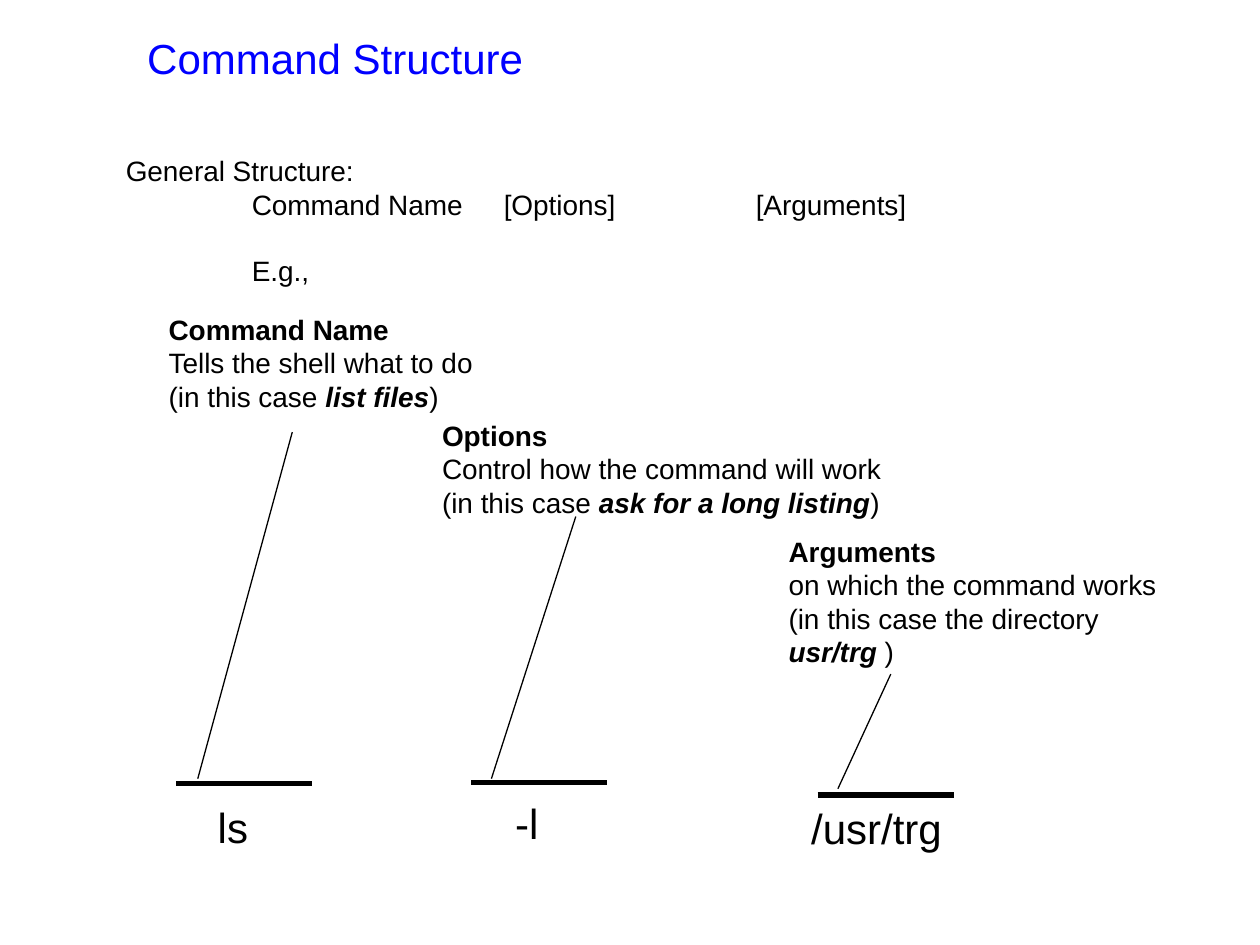
import pptx
import pptx.util
import pptx.dml.color
import pptx.enum.shapes
import pptx.enum.text
import pptx.oxml.ns
import lxml.etree

Inches, Pt = pptx.util.Inches, pptx.util.Pt
qn = pptx.oxml.ns.qn
COLORS = {"title": "0000FF", "text": "000000", "line": "000000"}
BOLD = {"bold": True}
STRESSED = {"bold": True, "italic": True}

deck = pptx.Presentation()
deck.slide_width, deck.slide_height = Inches(10), Inches(7.5)
slide = deck.slides.add_slide(deck.slide_layouts[6])


def add_text(place, lines, size, color="text", wrap=False):
    """Each line is a list of (text, format values) pieces."""
    box = slide.shapes.add_textbox(*map(Inches, place))
    frame = box.text_frame
    frame_format = {"word_wrap": wrap,
                    "auto_size": pptx.enum.text.MSO_AUTO_SIZE.SHAPE_TO_FIT_TEXT}
    for name, value in frame_format.items():
        setattr(frame, name, value)
    for number, pieces in enumerate(lines):
        paragraph = frame.add_paragraph() if number else frame.paragraphs[0]
        for text, extra in pieces:
            run = paragraph.add_run()
            run.text = text
            run_format = {"name": "Arial", "size": Pt(size), **extra}
            for name, value in run_format.items():
                setattr(run.font, name, value)
            run.font.color.rgb = pptx.dml.color.RGBColor.from_string(COLORS[color])
    return frame


def add_line(start, end, width):
    line = slide.shapes.add_connector(
        pptx.enum.shapes.MSO_CONNECTOR.STRAIGHT, *map(Inches, start + end))
    line.line.width = Pt(width)
    line.line.color.rgb = pptx.dml.color.RGBColor.from_string(COLORS["line"])
    lxml.etree.SubElement(line._element.spPr, qn("a:effectLst"))


# Title
add_text((1.07, 0.21, 3.18, 0.5), [[("Command Structure", {})]], 24, "title")

# General structure, with a tab stop at every inch and room for its widest line
structure = add_text((0.9, 1.17, 6.5, 1.17), [
    [("General Structure:", {})],
    [("\tCommand Name\t[Options]\t\t[Arguments]", {})],
    [("\tE.g.,", {})],
], 16, wrap=True)
for paragraph in structure.paragraphs:
    tab_list = lxml.etree.SubElement(paragraph._p.get_or_add_pPr(), qn("a:tabLst"))
    for inch in range(1, 7):
        lxml.etree.SubElement(tab_list, qn("a:tab"), pos=str(Inches(inch)), algn="l")
structure.paragraphs[2].space_before = Pt(19)

# Parts of the command: explanation, pointer, bar and example
parts = [
    {"note_at": (1.24, 2.43, 2.64, 0.9),
     "note": [[("Command Name", BOLD)],
              [("Tells the shell what to do", {})],
              [("(in this case", {}), (" list files", STRESSED), (")", {})]],
     "pointer": ((1.57, 6.18), (2.32, 3.43)),
     "bar": (1.4, 6.22),
     "example_at": (1.63, 6.31, 1.17, 0.5), "example": "ls"},
    {"note_at": (3.41, 3.27, 3.75, 0.9),
     "note": [[("Options", BOLD)],
              [("Control how the command will work", {})],
              [("(in this case ", {}), ("ask for a long listing", STRESSED), (")", {})]],
     "pointer": ((3.9, 6.18), (4.57, 4.1)),
     "bar": (3.74, 6.21),
     "example_at": (3.99, 6.28, 1.42, 0.5), "example": "-l"},
    {"note_at": (6.16, 4.19, 3.12, 1.17),
     "note": [[("Arguments", BOLD)],
              [("on which the command works", {})],
              [("(in this case the directory", {})],
              [("usr/trg", STRESSED), (" )", {})]],
     "pointer": ((6.65, 6.26), (7.07, 5.35)),
     "bar": (6.49, 6.31),
     "example_at": (6.34, 6.32, 1.5, 0.5), "example": "/usr/trg"},
]
BAR_LENGTH = 1.08
for part in parts:
    add_text(part["note_at"], part["note"], 16)
    bar_left, bar_top = part["bar"]
    add_line((bar_left, bar_top), (bar_left + BAR_LENGTH, bar_top), 3)
    add_text(part["example_at"], [[(part["example"], {})]], 24, wrap=True)
    add_line(*part["pointer"], 0.75)

deck.save("out.pptx")
